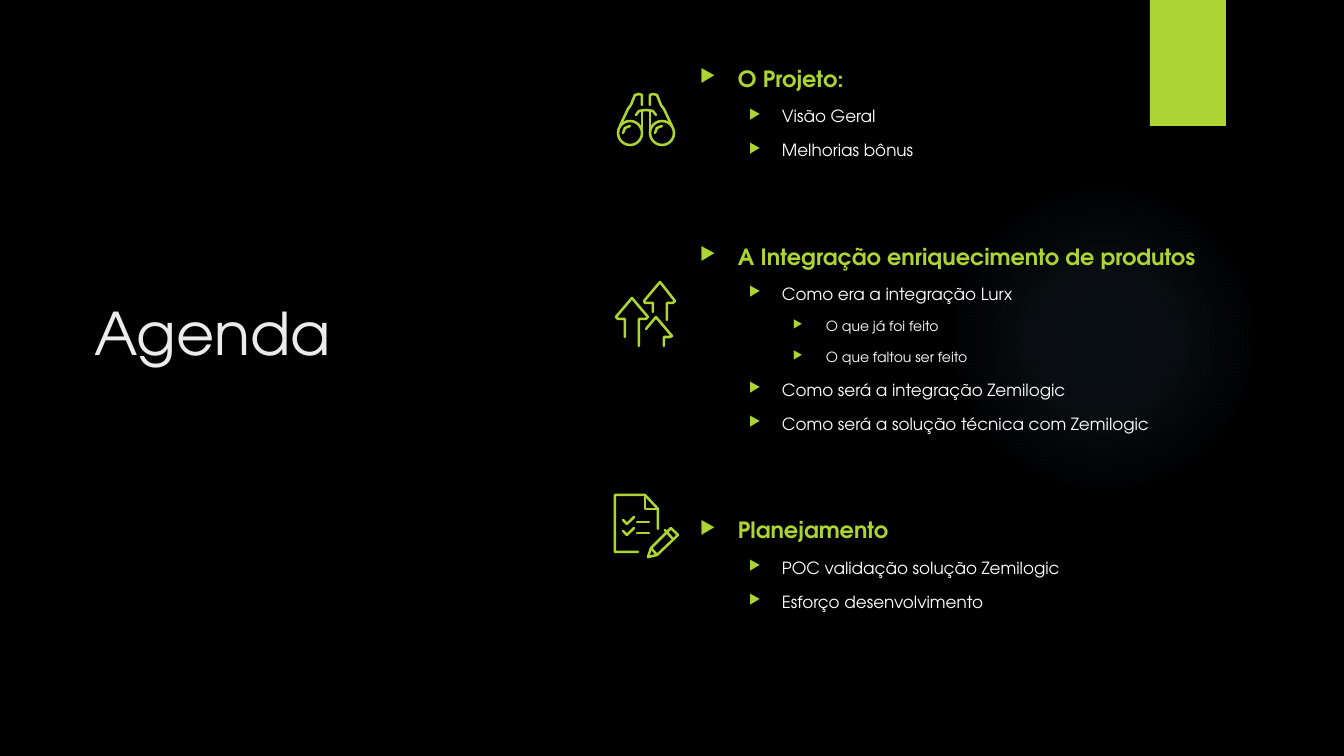
from dataclasses import dataclass

import lxml.etree
import pptx
import pptx.dml.color
import pptx.enum.shapes
import pptx.enum.text
import pptx.oxml.ns
import pptx.util

EMU_PER_PX = 914400 / 100.8

Point = tuple[int, int]


@dataclass(frozen=True)
class Theme:
    font: str = "TeX Gyre Adventor"
    background: str = "000000"
    accent: str = "ACD433"
    title: str = "EBEBEB"
    body: str = "FFFFFF"
    glow: str = "7AC4F0"
    title_size: int = 42
    paragraph_gap: int = 10
    section_gap: int = 59
    bullet_percent: int = 80
    icon_stroke: float = 1.8


@dataclass(frozen=True)
class Level:
    margin: int
    hanging: int
    size: int
    color: str
    bold: bool = False


@dataclass(frozen=True)
class Entry:
    text: str
    level: Level


@dataclass(frozen=True)
class Stroke:
    points: tuple[Point, ...]
    closed: bool = False

    def shifted(self, right: int = 0, down: int = 0) -> "Stroke":
        return Stroke(tuple((x + right, y + down) for x, y in self.points), self.closed)

    def mirrored(self, axis: int) -> "Stroke":
        return Stroke(tuple((2 * axis - x, y) for x, y in self.points), self.closed)


@dataclass(frozen=True)
class Ring:
    center: Point
    radius: int


@dataclass(frozen=True)
class Icon:
    strokes: tuple[Stroke, ...]
    rings: tuple[Ring, ...] = ()


THEME = Theme()

SECTION = Level(38, 38, 16, THEME.accent, True)
ITEM = Level(82, 33, 12, THEME.body)
DETAIL = Level(126, 33, 10, THEME.body)

AGENDA = (
    Entry("O Projeto:", SECTION),
    Entry("Visão Geral", ITEM),
    Entry("Melhorias bônus", ITEM),
    Entry("A Integração enriquecimento de produtos", SECTION),
    Entry("Como era a integração Lurx", ITEM),
    Entry("O que já foi feito", DETAIL),
    Entry("O que faltou ser feito", DETAIL),
    Entry("Como será a integração Zemilogic", ITEM),
    Entry("Como será a solução técnica com Zemilogic", ITEM),
    Entry("Planejamento", SECTION),
    Entry("POC validação solução Zemilogic", ITEM),
    Entry("Esforço desenvolvimento", ITEM),
)

BINOCULAR_AXIS = 646
BARREL = Stroke(((620, 126), (628, 109), (631, 105), (635, 95), (639, 94), (642, 95), (642, 105)))
HINGE = Stroke(((642, 110), (642, 133)))
BRIDGE = Stroke(((636, 115), (639, 111), (646, 110), (653, 111), (656, 115)))
GLINT = Stroke(((623, 133), (625, 128), (630, 126)))
BINOCULARS = Icon(
    (BARREL, BARREL.mirrored(BINOCULAR_AXIS), HINGE, HINGE.mirrored(BINOCULAR_AXIS),
     BRIDGE, GLINT, GLINT.shifted(right=32)),
    (Ring((630, 133), 12), Ring((662, 133), 12)),
)

ARROWS = Icon((
    Stroke(((625, 337), (625, 319), (618, 319), (616, 317), (632, 298),
            (648, 317), (646, 319), (639, 319), (639, 346))),
    Stroke(((653, 312), (653, 303), (645, 303), (644, 301), (660, 282),
            (675, 301), (673, 303), (667, 303), (667, 320))),
    Stroke(((646, 329), (656, 317), (672, 336), (670, 337), (664, 337), (664, 346))),
))

CHECK = Stroke(((623, 520), (627, 524), (634, 517)))
CHECK_LINE = Stroke(((637, 522), (649, 522)))
CHECKLIST = Icon((
    Stroke(((638, 552), (615, 552), (615, 495), (645, 495), (658, 509), (658, 529))),
    Stroke(((645, 495), (645, 509), (658, 509))),
    CHECK, CHECK.shifted(down=11), CHECK_LINE, CHECK_LINE.shifted(down=11),
    Stroke(((648, 557), (651, 548), (671, 528), (678, 535), (657, 555)), closed=True),
    Stroke(((665, 530), (672, 538))),
    Stroke(((651, 548), (657, 555))),
))


def px(length: int) -> pptx.util.Emu:
    return pptx.util.Emu(round(length * EMU_PER_PX))


def rgb(color: str) -> pptx.dml.color.RGBColor:
    return pptx.dml.color.RGBColor.from_string(color)


def add_element(parent, tag: str, **attributes: str):
    return lxml.etree.SubElement(parent, pptx.oxml.ns.qn(tag), attributes)


def add_text_box(page, left: int, top: int, width: int, height: int, text: str):
    frame = page.shapes.add_textbox(px(left), px(top), px(width), px(height)).text_frame
    frame.word_wrap = True
    frame.vertical_anchor = pptx.enum.text.MSO_ANCHOR.TOP
    frame.text = text
    return frame


def format_spans(para, size: int, color: str, bold: bool = False) -> None:
    for span in para.runs:
        span.font.name = THEME.font
        span.font.size = pptx.util.Pt(size)
        span.font.bold = bold
        span.font.color.rgb = rgb(color)


def add_agenda(page) -> None:
    frame = add_text_box(page, 690, 60, 583, 642, "\n".join(entry.text for entry in AGENDA))
    for position, (para, entry) in enumerate(zip(frame.paragraphs, AGENDA)):
        level = entry.level
        gap = THEME.section_gap if level is SECTION else THEME.paragraph_gap
        para.space_before = pptx.util.Pt(gap if position else 0)
        format_spans(para, level.size, level.color, level.bold)
        properties = para._p.get_or_add_pPr()
        properties.set("marL", str(px(level.margin)))
        properties.set("indent", str(-px(level.hanging)))
        add_element(add_element(properties, "a:buClr"), "a:srgbClr", val=THEME.accent)
        add_element(properties, "a:buSzPct", val=str(THEME.bullet_percent * 1000))
        add_element(properties, "a:buChar", char="▶")


def add_glow(page) -> None:
    glow = page.shapes.add_shape(
        pptx.enum.shapes.MSO_SHAPE.OVAL, px(949), px(184), px(310), px(310))
    glow.shadow.inherit = False
    glow.line.fill.background()
    gradient = lxml.etree.Element(pptx.oxml.ns.qn("a:gradFill"), rotWithShape="1")
    stops = add_element(gradient, "a:gsLst")
    for position, alpha in ((0, 7), (36, 6), (69, 0)):
        stop = add_element(stops, "a:gs", pos=str(position * 1000))
        color = add_element(stop, "a:srgbClr", val=THEME.glow)
        add_element(color, "a:alpha", val=str(alpha * 1000))
    circle = add_element(gradient, "a:path", path="circle")
    add_element(circle, "a:fillToRect", l="50000", t="50000", r="50000", b="50000")
    glow.element.spPr.find(pptx.oxml.ns.qn("a:prstGeom")).addnext(gradient)


def add_accent_tab(page) -> None:
    tab = page.shapes.add_shape(
        pptx.enum.shapes.MSO_SHAPE.RECTANGLE, px(1150), px(0), px(76), px(126))
    tab.shadow.inherit = False
    tab.fill.solid()
    tab.fill.fore_color.rgb = rgb(THEME.accent)
    tab.line.fill.background()


def format_outline(shape) -> None:
    shape.line.color.rgb = rgb(THEME.accent)
    shape.line.width = pptx.util.Pt(THEME.icon_stroke)
    outline = shape.line._get_or_add_ln()
    outline.set("cap", "rnd")
    add_element(outline, "a:round")
    add_element(shape.element.spPr, "a:effectLst")


def add_icon(page, icon: Icon) -> None:
    group = page.shapes.add_group_shape()
    for ring in icon.rings:
        x, y = ring.center
        lens = group.shapes.add_shape(
            pptx.enum.shapes.MSO_SHAPE.OVAL, px(x - ring.radius), px(y - ring.radius),
            px(2 * ring.radius), px(2 * ring.radius))
        lens.fill.background()
        format_outline(lens)
    for stroke in icon.strokes:
        points = [(px(x), px(y)) for x, y in stroke.points]
        if len(points) == 2:
            shape = group.shapes.add_connector(
                pptx.enum.shapes.MSO_CONNECTOR.STRAIGHT, *points[0], *points[1])
        else:
            builder = group.shapes.build_freeform(*points[0])
            builder.add_line_segments(points[1:], close=stroke.closed)
            shape = builder.convert_to_shape()
            shape.fill.background()
        format_outline(shape)


def main() -> None:
    deck = pptx.Presentation()
    deck.slide_width, deck.slide_height = px(1344), px(756)
    page = deck.slides.add_slide(deck.slide_layouts[6])
    page.background.fill.solid()
    page.background.fill.fore_color.rgb = rgb(THEME.background)
    add_glow(page)
    add_accent_tab(page)
    title = add_text_box(page, 85, 292, 335, 190, "Agenda")
    format_spans(title.paragraphs[0], THEME.title_size, THEME.title)
    add_agenda(page)
    for icon in (CHECKLIST, BINOCULARS, ARROWS):
        add_icon(page, icon)
    deck.save("out.pptx")


if __name__ == "__main__":
    main()
